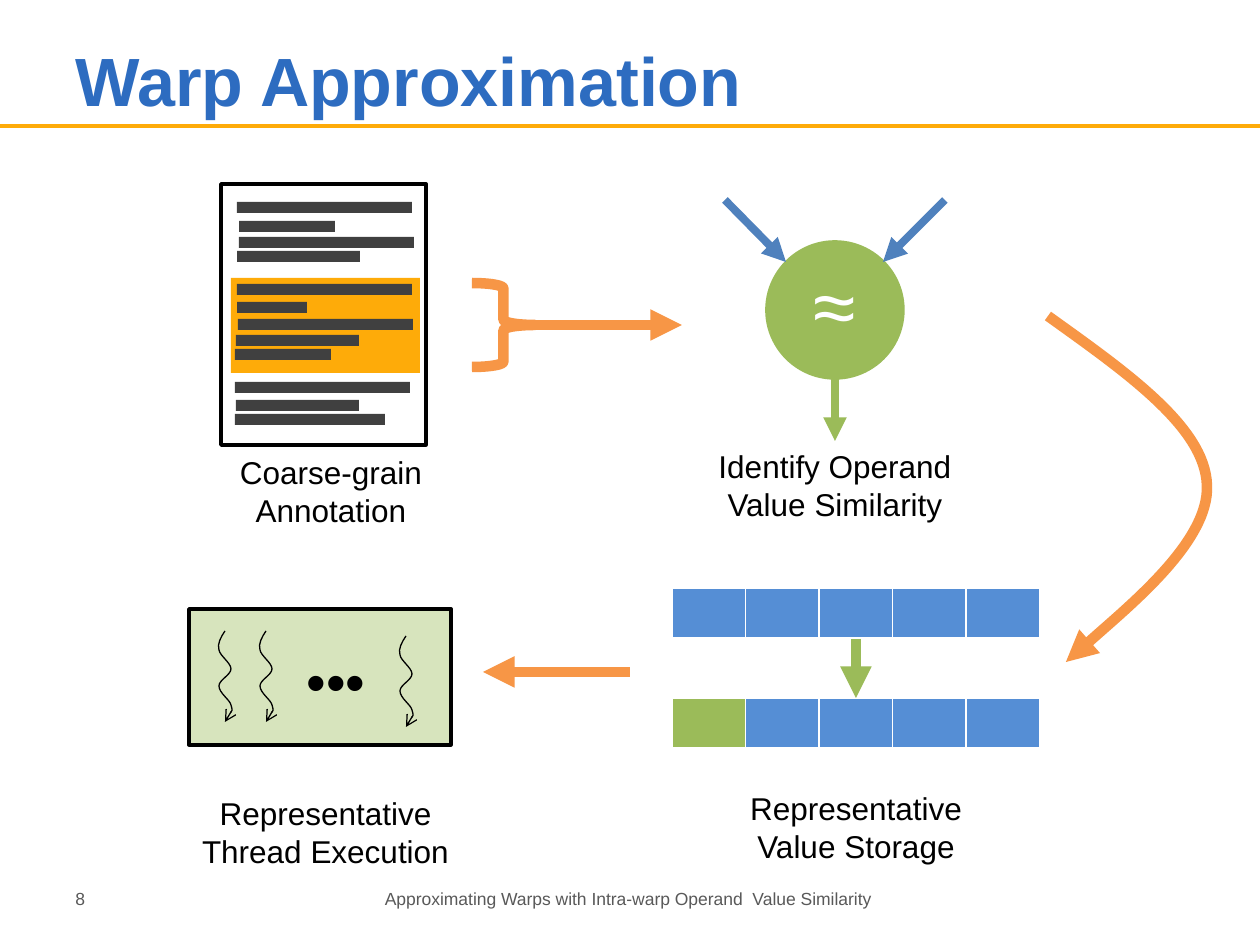
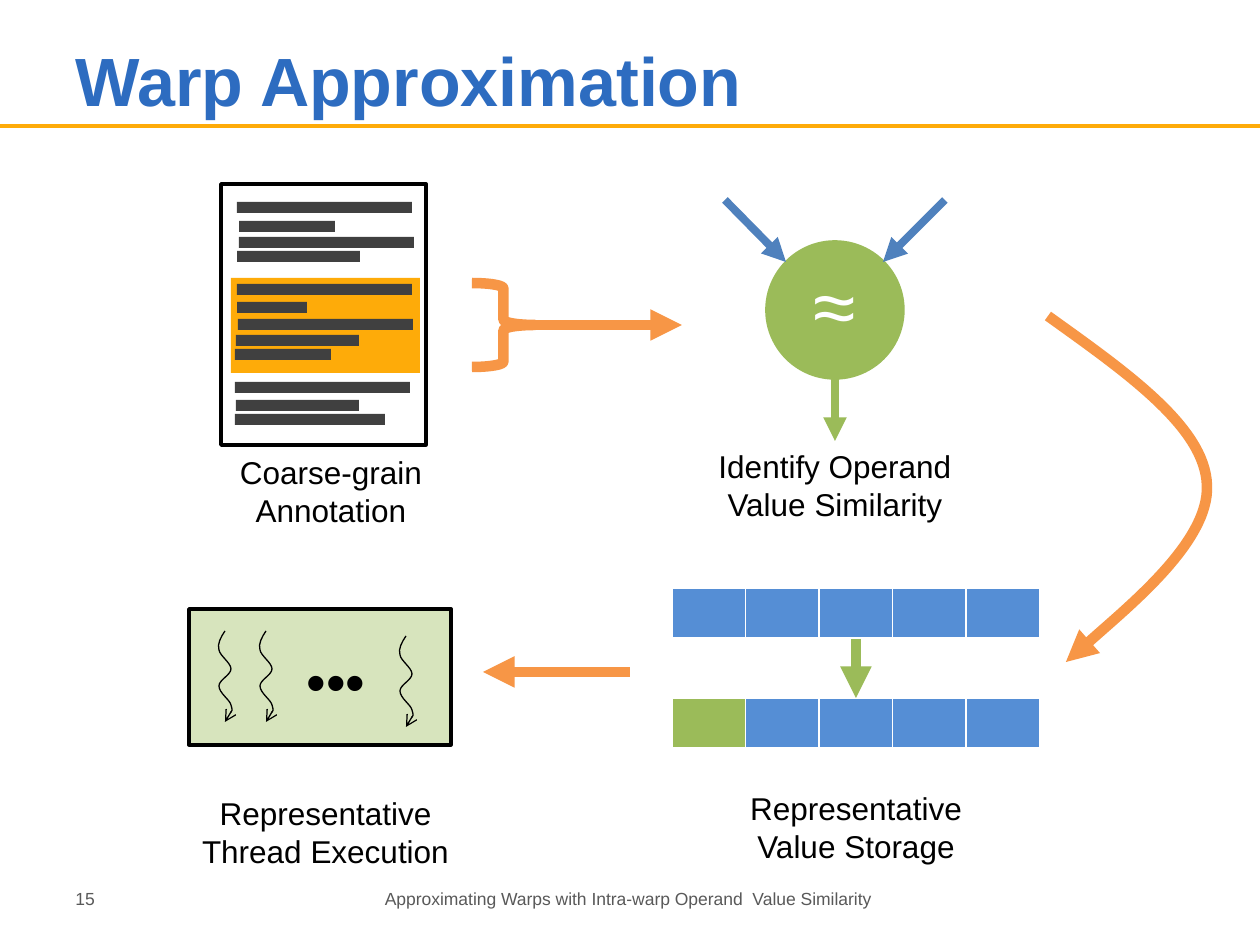
from dataclasses import dataclass

from lxml import etree
from pptx import Presentation
from pptx.dml.color import RGBColor
from pptx.enum.shapes import MSO_CONNECTOR, MSO_SHAPE
from pptx.enum.text import MSO_ANCHOR, MSO_AUTO_SIZE, PP_ALIGN
from pptx.oxml.ns import qn
from pptx.util import Pt

PX = 7257  # EMU in one px, 126 px to the inch
STRAIGHT = MSO_CONNECTOR.STRAIGHT
RECTANGLE, ROUNDED = MSO_SHAPE.RECTANGLE, MSO_SHAPE.ROUNDED_RECTANGLE
OVAL, BRACE = MSO_SHAPE.OVAL, MSO_SHAPE.RIGHT_BRACE
LEFT, CENTER = PP_ALIGN.LEFT, PP_ALIGN.CENTER
TOP, MIDDLE, BOTTOM = MSO_ANCHOR.TOP, MSO_ANCHOR.MIDDLE, MSO_ANCHOR.BOTTOM


@dataclass(frozen=True)
class Theme:
    font: str = "Arial"
    title: str = "2D6CC0"
    highlight: str = "FEAB09"
    code: str = "404040"
    footer: str = "595959"
    black: str = "000000"
    white: str = "FFFFFF"
    operand: str = "4F81BD"
    similar: str = "9BBB59"
    register: str = "558ED5"
    flow: str = "F79646"
    threads: str = "D7E4BD"
    title_size: int = 39
    label_size: int = 18
    footer_size: int = 10
    symbol_size: int = 44
    dots_size: int = 32


THEME = Theme()
SLIDE_NUMBERS = ["8", "15"]
FOOTER = "Approximating Warps with Intra-warp Operand  Value Similarity"
LABELS = [
    ("Coarse-grain Annotation", (200, 447, 262, 89)),
    ("Identify Operand\vValue Similarity", (704, 441, 262, 89)),
    ("Representative\vValue Storage", (725, 783, 262, 89)),
    ("Representative\vThread Execution", (189, 788, 273, 89)),
]
CODE_LINES = [  # left, top, width
    (237, 202, 175), (239, 221, 96), (239, 237, 175), (237, 251, 123),
    (237, 284, 175), (237, 302, 70), (238, 319, 175), (236, 335, 123), (235, 349, 96),
    (235, 382, 175), (236, 400, 123), (235, 414, 150),
]
CODE_LINE_HEIGHT = 11
REGISTER_ROWS = [  # top, cell colours
    (588, [THEME.register] * 5),
    (698, [THEME.similar] + [THEME.register] * 4),
]
CELL_BORDERS = [("a:lnL", 1), ("a:lnR", 1), ("a:lnT", 1), ("a:lnB", 3)]
ARROWS = [  # from, to, colour, width
    ((945, 200), (883, 262), THEME.operand, 4.5),
    ((725, 200), (786, 262), THEME.operand, 4.5),
    ((835, 378), (835, 441), THEME.similar, 4.5),
    ((535, 325), (682, 325), THEME.flow, 6),
    ((856, 639), (856, 698), THEME.similar, 6),
    ((630, 672), (483, 672), THEME.flow, 6),
]
# Bezier curves: a start point, then two control points and an end per segment
FLOW_CURVE = [(1048, 316), (1126, 372), (1205, 427), (1207, 485),
              (1210, 542), (1066, 662), (1066, 662)]
THREAD_CURVE = [(0, 0), (-4, 6), (-8, 13), (-6, 19), (-5, 25), (6, 32), (6, 38),
                (6, 44), (-6, 49), (-6, 55), (-6, 62), (5, 69), (6, 74),
                (8, 81), (4, 86), (0, 91)]
THREAD_STARTS = [(225, 631), (266, 631), (406, 636)]
CURVES = [(FLOW_CURVE, THEME.flow, 6, "triangle")] + [
    ([(left + x, top + y) for x, y in THREAD_CURVE], THEME.black, 0.75, "arrow")
    for left, top in THREAD_STARTS
]


def style(shape, fill=None, line=None, width=0, arrowhead=None):
    """Set fill, outline and arrowhead, and drop the theme's shadow."""
    if fill:
        shape.fill.solid()
        shape.fill.fore_color.rgb = RGBColor.from_string(fill)
    elif hasattr(shape, "fill"):
        shape.fill.background()
    if line:
        shape.line.color.rgb = RGBColor.from_string(line)
        shape.line.width = Pt(width)
    else:
        shape.line.fill.background()
    properties = shape._element.spPr
    if arrowhead:
        outline = properties.find(qn("a:ln"))
        etree.SubElement(outline, qn("a:tailEnd"), type=arrowhead)
    etree.SubElement(properties, qn("a:effectLst"))


def write(shape, text, size, color, alignment, anchor=TOP, bold=False):
    frame = shape.text_frame
    frame.word_wrap = True
    frame.auto_size = MSO_AUTO_SIZE.NONE
    frame.vertical_anchor = anchor
    paragraph = frame.paragraphs[0]
    paragraph.text = text
    paragraph.alignment = alignment
    for run in paragraph.runs:
        run.font.name = THEME.font
        run.font.size = Pt(size)
        run.font.bold = bold
        run.font.color.rgb = RGBColor.from_string(color)


presentation = Presentation()
presentation.slide_width = 1260 * PX
presentation.slide_height = 945 * PX
title_only = presentation.slide_layouts[5]

for number in SLIDE_NUMBERS:
    slide = presentation.slides.add_slide(title_only)
    shapes = slide.shapes

    # Title and the rule below it
    title = shapes.title
    title.left, title.top, title.width, title.height = (
        value * PX for value in (63, 21, 1134, 105))
    write(title, "Warp Approximation", THEME.title_size, THEME.title, LEFT, BOTTOM, True)
    title_rule = shapes.add_connector(STRAIGHT, 0, 126 * PX, 1260 * PX, 126 * PX)
    style(title_rule, line=THEME.highlight, width=2.25)

    # Annotated code page
    highlight = shapes.add_shape(RECTANGLE, 231 * PX, 278 * PX, 189 * PX, 95 * PX)
    style(highlight, THEME.highlight)
    code_page = shapes.add_group_shape().shapes
    sheet = code_page.add_shape(ROUNDED, 221 * PX, 184 * PX, 205 * PX, 261 * PX)
    sheet.adjustments[0] = 0
    style(sheet, line=THEME.black, width=2)
    for left, top, width in CODE_LINES:
        code_line = code_page.add_shape(
            RECTANGLE, left * PX, top * PX, width * PX, CODE_LINE_HEIGHT * PX)
        style(code_line, THEME.code)

    # Similarity check
    brace = shapes.add_shape(BRACE, 472 * PX, 283 * PX, 63 * PX, 84 * PX)
    style(brace, line=THEME.flow, width=6)
    similarity = shapes.add_shape(OVAL, 767 * PX, 242 * PX, 136 * PX, 136 * PX)
    style(similarity, THEME.similar, THEME.similar, 2)
    write(similarity, "≈", THEME.symbol_size, THEME.white, CENTER, MIDDLE)
    similarity.text_frame.margin_bottom = 18 * PX

    # Value storage
    for top, colors in REGISTER_ROWS:
        table = shapes.add_table(
            1, len(colors), 672 * PX, top * PX, 368 * PX, 51 * PX).table
        table.first_row = table.horz_banding = False
        for cell, color in zip(table.iter_cells(), colors):
            properties = cell._tc.get_or_add_tcPr()
            for side, points in CELL_BORDERS:
                border = etree.SubElement(properties, qn(side), w=str(Pt(points)))
                border_fill = etree.SubElement(border, qn("a:solidFill"))
                etree.SubElement(border_fill, qn("a:srgbClr"), val=THEME.white)
            cell.fill.solid()
            cell.fill.fore_color.rgb = RGBColor.from_string(color)

    # Thread execution
    threads = shapes.add_shape(RECTANGLE, 189 * PX, 609 * PX, 262 * PX, 136 * PX)
    style(threads, THEME.threads, THEME.black, 2)

    # Arrows, straight and curved
    for start, end, color, width in ARROWS:
        arrow = shapes.add_connector(
            STRAIGHT, *(value * PX for value in start + end))
        style(arrow, line=color, width=width, arrowhead="triangle")
    for controls, color, width, arrowhead in CURVES:
        builder = shapes.build_freeform(*controls[0], scale=PX)
        builder.add_line_segments(controls[1:], close=False)
        curve = builder.convert_to_shape()
        # Join each three straight segments into one Bezier segment
        segments = list(curve._element.iter(qn("a:lnTo")))
        outline = segments[0].getparent()
        for first in range(0, len(segments), 3):
            bezier = etree.SubElement(outline, qn("a:cubicBezTo"))
            for segment in segments[first:first + 3]:
                bezier.append(segment[0])
                outline.remove(segment)
        style(curve, line=color, width=width, arrowhead=arrowhead)

    # Labels and footer
    texts = [(text, box, THEME.label_size, THEME.black, CENTER) for text, box in LABELS]
    texts += [
        ("•••", (273, 640, 126, 81), THEME.dots_size, THEME.black, CENTER),
        (FOOTER, (355, 882, 546, 42), THEME.footer_size, THEME.footer, CENTER),
        (number, (63, 882, 231, 42), THEME.footer_size, THEME.footer, LEFT),
    ]
    for text, box, size, color, alignment in texts:
        text_box = shapes.add_textbox(*(value * PX for value in box))
        write(text_box, text, size, color, alignment)

presentation.save("out.pptx")
